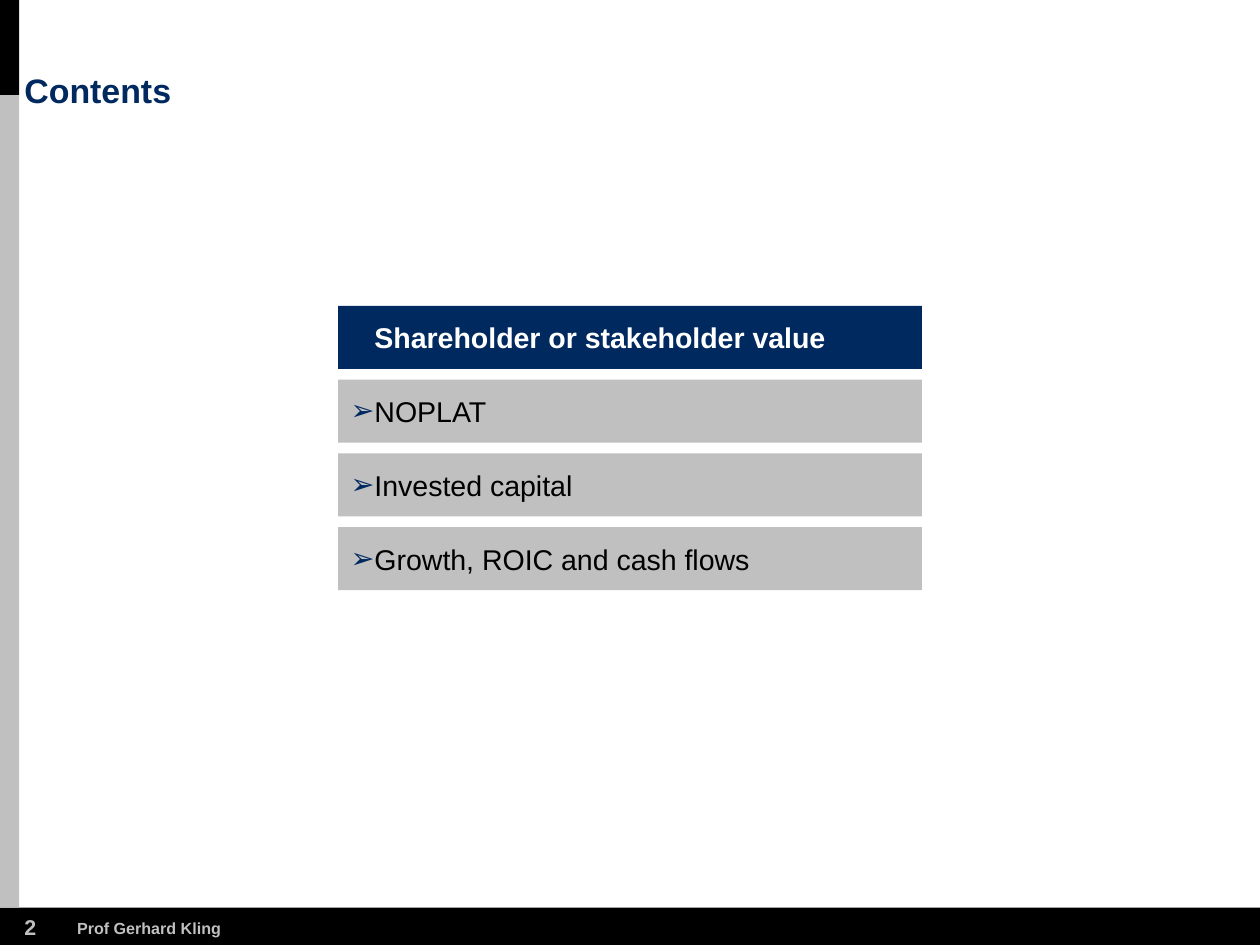
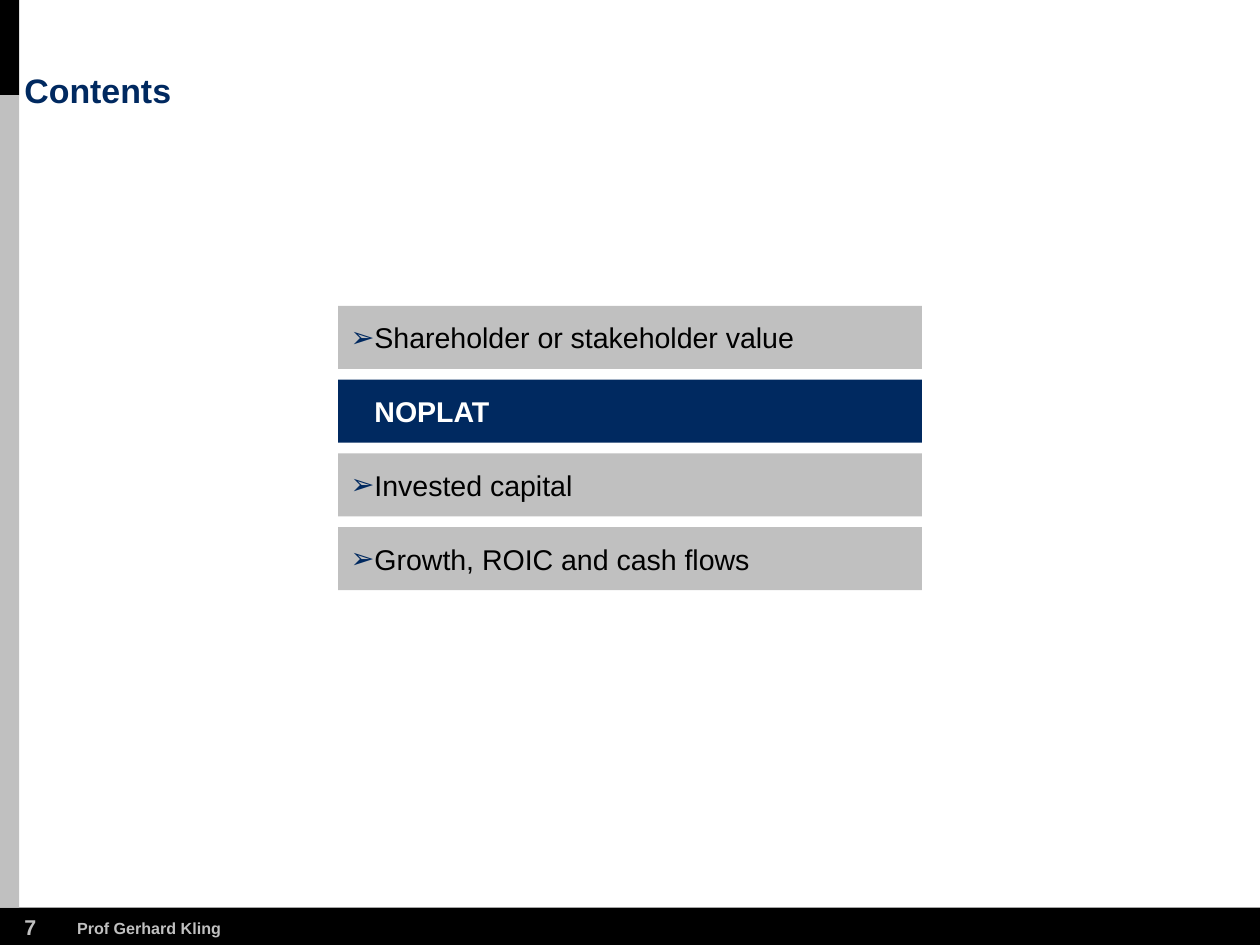
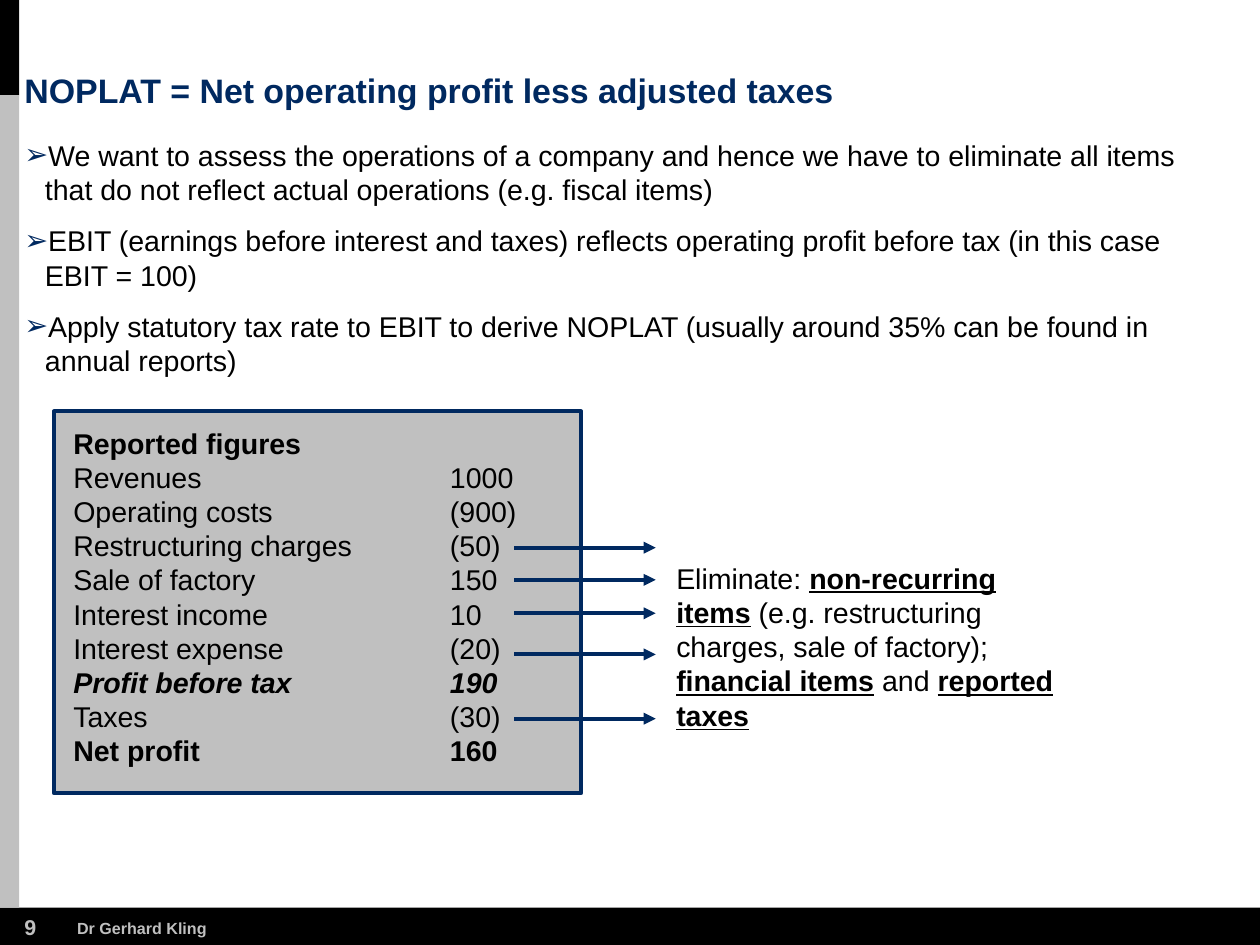
from lxml.etree import SubElement
from pptx import Presentation
from pptx.dml.color import RGBColor
from pptx.enum.shapes import MSO_CONNECTOR, MSO_SHAPE
from pptx.enum.text import MSO_ANCHOR, MSO_AUTO_SIZE, PP_ALIGN
from pptx.oxml.ns import qn
from pptx.util import Inches, Pt

NAVY = RGBColor(0x00, 0x29, 0x60)
GREY = RGBColor(0xC0, 0xC0, 0xC0)
BLACK = RGBColor(0x00, 0x00, 0x00)
WHITE = RGBColor(0xFF, 0xFF, 0xFF)

FONT = "Arial"
TITLE_ONLY = 5
NO_STYLE_NO_GRID = "{2D5ABB26-0587-4C30-8999-92F81FD0307C}"
LINE_SPACING = Pt(19.2)
ROW_HEIGHT = 0.266

BODY = {"size": Pt(16), "color": BLACK}
BOLD = {**BODY, "bold": True}
BOLD_ITALIC = {**BOLD, "italic": True}
KEY_TERM = {**BOLD, "underline": True}
CURRENT = {**BODY, "color": WHITE, "bold": True}
TITLE = {"size": Pt(19), "color": NAVY, "bold": True}
NUMBER = {"size": Pt(12), "color": GREY, "bold": True}
AUTHOR = {"size": Pt(9), "color": GREY, "bold": True}

CHAPTERS = [
    "Shareholder or stakeholder value",
    "NOPLAT",
    "Invested capital",
    "Growth, ROIC and cash flows",
]
POINTS = [
    "We want to assess the operations of a company and hence we have to eliminate all items "
    "that do not reflect actual operations (e.g. fiscal items)",
    "EBIT (earnings before interest and taxes) reflects operating profit before tax "
    "(in this case EBIT = 100)",
    "Apply statutory tax rate to EBIT to derive NOPLAT (usually around 35% can be found in "
    "annual reports)",
]
FIGURES = [
    ("Reported figures", "", BOLD),
    ("Revenues", "1000", BODY),
    ("Operating costs", "(900)", BODY),
    ("Restructuring charges", "(50)", BODY),
    ("Sale of factory", "150", BODY),
    ("Interest income", "10", BODY),
    ("Interest expense", "(20)", BODY),
    ("Profit before tax", "190", BOLD_ITALIC),
    ("Taxes", "(30)", BODY),
    ("Net profit", "160", BOLD),
]
ARROW_HEIGHTS = [4.26, 4.51, 4.77, 5.09, 5.59]
ELIMINATIONS = [
    ("Eliminate: ", BODY),
    ("non-recurring items", KEY_TERM),
    (" (e.g. restructuring charges, sale of factory); ", BODY),
    ("financial items", KEY_TERM),
    (" and ", BODY),
    ("reported taxes", KEY_TERM),
]


def add_run(paragraph, text, style):
    """Append a run formatted from a dict of font values."""
    run = paragraph.add_run()
    run.text = text
    run.font.name = FONT
    for name, value in style.items():
        if name == "color":
            run.font.color.rgb = value
        else:
            setattr(run.font, name, value)


def set_frame(frame, left_inset=0, anchor=MSO_ANCHOR.TOP, wrap=True):
    """Set the insets, anchor and wrapping of a text frame and return it."""
    values = {
        "margin_left": Inches(left_inset), "margin_right": 0,
        "margin_top": 0, "margin_bottom": 0,
        "vertical_anchor": anchor, "word_wrap": wrap,
        "auto_size": MSO_AUTO_SIZE.NONE,
    }
    for name, value in values.items():
        setattr(frame, name, value)
    return frame


def add_text_box(slide, box, wrap=True):
    """Add an inset-free text box and return its frame."""
    return set_frame(slide.shapes.add_textbox(*map(Inches, box)).text_frame, wrap=wrap)


def add_rectangle(slide, box, fill, line=None):
    """Add a flat rectangle, outlined only when a line colour is given."""
    shape = slide.shapes.add_shape(MSO_SHAPE.RECTANGLE, *map(Inches, box))
    shape.shadow.inherit = False
    shape.fill.solid()
    shape.fill.fore_color.rgb = fill
    if line is None:
        shape.line.fill.background()
    else:
        shape.line.color.rgb = line
        shape.line.width = Pt(2.25)
    return shape


def set_bullet(paragraph):
    """Give a paragraph a hanging navy arrow bullet."""
    properties = paragraph._p.get_or_add_pPr()
    properties.set("marL", str(Inches(0.16)))
    properties.set("indent", str(-Inches(0.16)))
    color = SubElement(properties, qn("a:buClr"))
    SubElement(color, qn("a:srgbClr")).set("val", str(NAVY))
    SubElement(properties, qn("a:buFont")).set("typeface", FONT)
    SubElement(properties, qn("a:buChar")).set("char", "➢")


def add_master_bands(presentation, slide):
    """Draw the side and bottom bands and move them to the slide master."""
    bands = [
        ((0, 7.06, 9.8, 0.29), BLACK),
        ((0, 0, 0.15, 0.74), BLACK),
        ((0, 0.74, 0.15, 6.32), GREY),
    ]
    tree = presentation.slide_master.shapes._spTree
    for position, (box, fill) in enumerate(bands, start=2):
        tree.insert(position, add_rectangle(slide, box, fill)._element)


def add_titled_slide(presentation, title, number, author):
    """Add a slide with its title, number and author."""
    slide = presentation.slides.add_slide(presentation.slide_layouts[TITLE_ONLY])
    placeholder = slide.shapes.title
    for name, value in zip(("left", "top", "width", "height"), (0.19, 0.58, 7.76, 0.28)):
        setattr(placeholder, name, Inches(value))
    paragraph = set_frame(placeholder.text_frame, anchor=MSO_ANCHOR.BOTTOM).paragraphs[0]
    paragraph.alignment = PP_ALIGN.LEFT
    paragraph.line_spacing = 0.9
    add_run(paragraph, title, TITLE)
    footers = [
        ((0.19, 7.11, 0.2, 0.2), str(number), NUMBER),
        ((0.6, 7.14, 1.13, 0.15), author, AUTHOR),
    ]
    for box, text, style in footers:
        add_run(add_text_box(slide, box, wrap=False).paragraphs[0], text, style)
    return slide


def add_agenda(slide, box, current):
    """Stack one bar per chapter in the box and highlight the current one."""
    left, top, width, height = box
    bar_height = 0.49
    pitch = (height - bar_height) / (len(CHAPTERS) - 1)
    for index, chapter in enumerate(CHAPTERS):
        is_current = index == current
        bar = add_rectangle(
            slide, (left, top + index * pitch, width, bar_height), NAVY if is_current else GREY
        )
        frame = set_frame(bar.text_frame, left_inset=0.1, anchor=MSO_ANCHOR.MIDDLE)
        paragraph = frame.paragraphs[0]
        paragraph.alignment = PP_ALIGN.LEFT
        set_bullet(paragraph)
        add_run(paragraph, chapter, CURRENT if is_current else BODY)


def add_points(slide, box):
    """Write the bulleted points."""
    frame = add_text_box(slide, box)
    for index, point in enumerate(POINTS):
        paragraph = frame.add_paragraph() if index else frame.paragraphs[0]
        paragraph.line_spacing = LINE_SPACING
        paragraph.space_after = Pt(9.6)
        set_bullet(paragraph)
        add_run(paragraph, point, BODY)


def add_figures(slide, box):
    """Draw the framed panel with the table of reported figures."""
    left, top, width, height = box
    add_rectangle(slide, box, GREY, NAVY)
    widths = (2.93, 0.88)
    table_box = (left + 0.15, top + 0.1, sum(widths), ROW_HEIGHT * len(FIGURES))
    table = slide.shapes.add_table(len(FIGURES), 2, *map(Inches, table_box)).table
    table.first_row = table.horz_banding = False
    table._tbl.tblPr.find(qn("a:tableStyleId")).text = NO_STYLE_NO_GRID
    for column, column_width in zip(table.columns, widths):
        column.width = Inches(column_width)
    for row, (label, amount, style) in zip(table.rows, FIGURES):
        row.height = Inches(ROW_HEIGHT)
        for cell, text in zip(row.cells, (label, amount)):
            cell.fill.background()
            cell.margin_left = cell.margin_right = cell.margin_top = cell.margin_bottom = 0
            cell.vertical_anchor = MSO_ANCHOR.BOTTOM
            add_run(cell.text_frame.paragraphs[0], text, style)


def add_arrow(slide, start, end, height):
    """Draw a level arrow pointing right."""
    arrow = slide.shapes.add_connector(
        MSO_CONNECTOR.STRAIGHT, *map(Inches, (start, height, end, height))
    )
    arrow.line.color.rgb = NAVY
    arrow.line.width = Pt(2.25)
    SubElement(arrow.line._get_or_add_ln(), qn("a:tailEnd")).set("type", "triangle")
    SubElement(arrow._element.spPr, qn("a:effectLst"))


def add_eliminations(slide, box):
    """Write the note on eliminated items with the arrows leading to it."""
    left = box[0]
    for height in ARROW_HEIGHTS:
        add_arrow(slide, left - 1.26, left - 0.16, height)
    paragraph = add_text_box(slide, box).paragraphs[0]
    paragraph.line_spacing = LINE_SPACING
    for text, style in ELIMINATIONS:
        add_run(paragraph, text, style)


def main():
    """Build and save the presentation."""
    presentation = Presentation()
    presentation.slide_width = Inches(9.8)
    presentation.slide_height = Inches(7.35)

    for current, number in enumerate((2, 7)):
        slide = add_titled_slide(presentation, "Contents", number, "Prof Gerhard Kling")
        add_agenda(slide, (2.63, 2.38, 4.54, 2.21), current)

    slide = add_titled_slide(
        presentation, "NOPLAT = Net operating profit less adjusted taxes", 9, "Dr Gerhard Kling"
    )
    add_points(slide, (0.19, 1.07, 9.35, 1.92))
    add_figures(slide, (0.42, 3.2, 4.1, 2.97))
    add_eliminations(slide, (5.26, 4.36, 2.99, 1.34))

    add_master_bands(presentation, slide)
    presentation.save("out.pptx")


if __name__ == "__main__":
    main()
